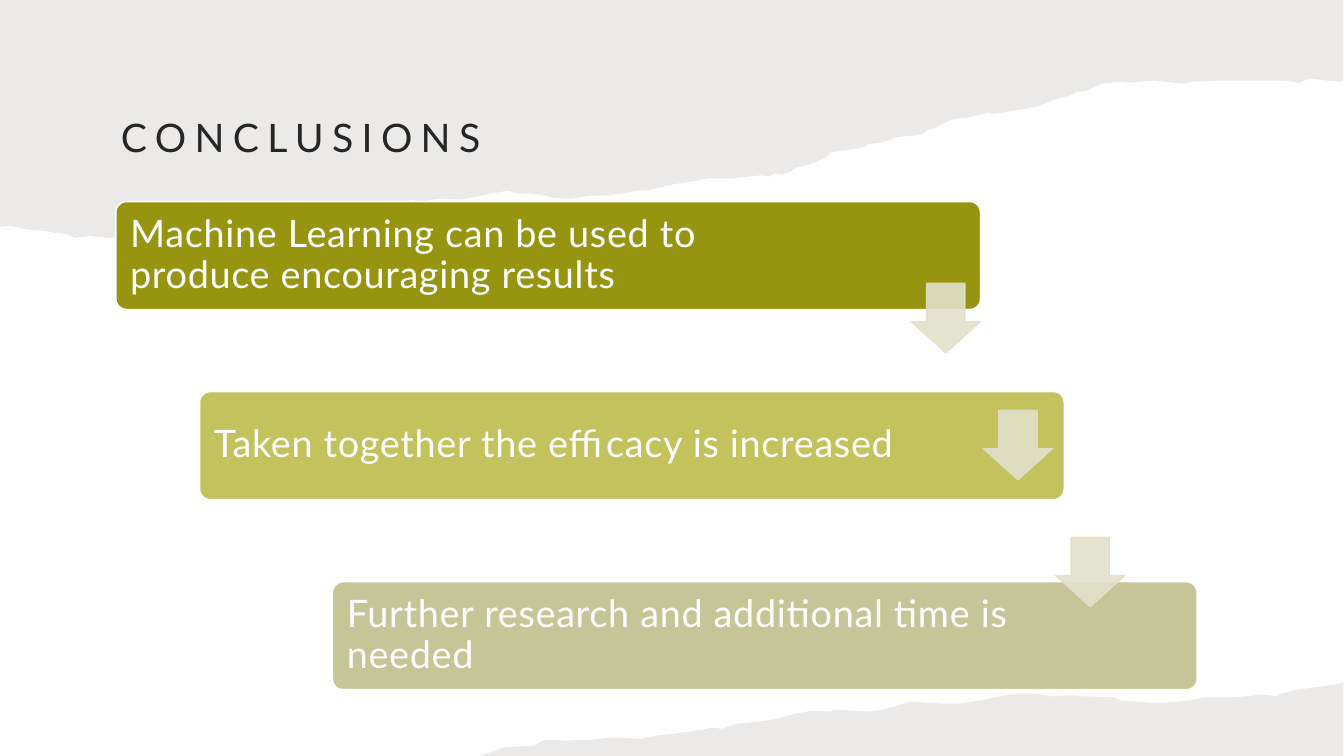
import lxml.etree
import pptx
import pptx.dml.color
import pptx.enum.shapes
import pptx.enum.text
import pptx.oxml.ns
import pptx.util

Cm = pptx.util.Cm
Pt = pptx.util.Pt
SHAPE = pptx.enum.shapes.MSO_SHAPE

THEME = {
    "font": "Lato",
    "title_size": 28,
    "body_size": 27,
    "title": "262626",
    "white": "FFFFFF",
    "paper": "82766A",
    "arrow": "E1E0CA",
    "bars": ["979510", "C4C25D", "C6C597"],
}


def paint(sp, color, line=None, alpha=100):
    """Fill and outline a shape, with an opacity in percent."""
    sp.shadow.inherit = False
    formats = [(sp.fill, color)]
    if line:
        sp.line.width = Pt(1)
        formats.append((sp.line.fill, line))
    else:
        sp.line.fill.background()
    for fill, value in formats:
        fill.solid()
        fill.fore_color.rgb = pptx.dml.color.RGBColor.from_string(value)
    if alpha < 100:
        tag = pptx.oxml.ns.qn("a:srgbClr")
        for clr in sp._element.spPr.iter(tag):
            lxml.etree.SubElement(clr, pptx.oxml.ns.qn("a:alpha")).set("val", str(alpha * 1000))


def add_text(text, left, top, width, height, size, color, spacing, inset,
             line_spacing, before=0):
    tf = slide.shapes.add_textbox(Cm(left), Cm(top), Cm(width), Cm(height)).text_frame
    tf.word_wrap = True
    tf.vertical_anchor = pptx.enum.text.MSO_ANCHOR.MIDDLE
    tf.margin_left = tf.margin_right = tf.margin_top = tf.margin_bottom = Cm(inset)
    p = tf.paragraphs[0]
    p.line_spacing = line_spacing
    p.space_before = Pt(before)
    r = p.add_run()
    r.text = text
    r.font.name = THEME["font"]
    r.font.size = Pt(size)
    r.font.color.rgb = pptx.dml.color.RGBColor.from_string(color)
    r._r.get_or_add_rPr().set("spc", str(int(spacing * 100)))


prs = pptx.Presentation()
prs.slide_width, prs.slide_height = Cm(33.87), Cm(19.05)
slide = prs.slides.add_slide(prs.slide_layouts[6])

# Torn paper outlines, in hundredths of an inch
top_paper = [
    (0, 0), (1333, 0), (1333, 80), (1329, 81), (1318, 80), (1300, 78), (1289, 82),
    (1274, 80), (1264, 80), (1242, 80), (1221, 80), (1209, 80), (1190, 81), (1182, 81),
    (1175, 83), (1144, 80), (1121, 82), (1112, 81), (1093, 83), (1087, 86), (1076, 91),
    (1069, 91), (1061, 95), (1049, 98), (1043, 100), (1031, 105), (1027, 106),
    (1017, 108), (1010, 109), (999, 111), (986, 113), (980, 112), (972, 114), (957, 117),
    (948, 118), (939, 121), (925, 128), (920, 129), (915, 133), (905, 135), (897, 135),
    (890, 136), (883, 139), (871, 142), (861, 143), (857, 146), (852, 147), (825, 151),
    (818, 157), (807, 162), (791, 166), (783, 171), (776, 173), (769, 172), (763, 175),
    (755, 174), (743, 175), (728, 177), (713, 177), (702, 177), (687, 180), (667, 183),
    (643, 189), (633, 189), (617, 192), (602, 194), (587, 194), (567, 197), (559, 197),
    (548, 196), (541, 194), (526, 192), (513, 192), (504, 189), (499, 190), (488, 192),
    (472, 195), (458, 198), (441, 197), (430, 198), (417, 200), (408, 198), (402, 200),
    (390, 201), (372, 203), (359, 204), (342, 208), (329, 208), (314, 212), (306, 210),
    (293, 211), (271, 213), (254, 212), (239, 214), (231, 215), (216, 221), (205, 224),
    (192, 226), (179, 231), (157, 238), (145, 237), (140, 238), (131, 235), (106, 236),
    (89, 234), (75, 236), (65, 232), (53, 231), (45, 229), (30, 228), (19, 226),
    (10, 224), (0, 225),
]
bottom_paper = [
    (1333, 677), (1333, 750), (477, 750), (482, 748), (502, 741), (530, 740), (536, 736),
    (542, 734), (553, 734), (561, 735), (573, 734), (586, 734), (603, 732), (619, 732),
    (636, 733), (657, 729), (669, 728), (696, 724), (706, 722), (716, 723), (731, 718),
    (753, 716), (767, 714), (778, 711), (790, 708), (806, 705), (823, 706), (829, 704),
    (861, 706), (876, 704), (883, 702), (892, 700), (899, 697), (907, 696), (917, 697),
    (925, 697), (932, 698), (950, 698), (959, 697), (972, 695), (1001, 689), (1018, 688),
    (1034, 689), (1042, 691), (1057, 690), (1066, 690), (1075, 691), (1083, 691),
    (1105, 692), (1113, 695), (1140, 697), (1158, 697), (1181, 695), (1194, 692),
    (1220, 692), (1234, 691), (1252, 689), (1267, 691), (1272, 688), (1288, 684),
    (1297, 683), (1311, 681), (1325, 679),
]
for outline in (top_paper, bottom_paper):
    builder = slide.shapes.build_freeform(*outline[0], scale=Cm(2.54) / 100)
    builder.add_line_segments(outline[1:], close=True)
    paint(builder.convert_to_shape(), THEME["paper"], alpha=15)

# Title
add_text("CONCLUSIONS", 2.92, 1.7, 27.25, 3.38, size=THEME["title_size"],
         color=THEME["title"], spacing=6, inset=0.13, line_spacing=1.1)

# Staggered bars with their statements: text, bar left, text width
steps = [
    ("Machine Learning can be used to produce encouraging results", 2.92, 18.64),
    ("Taken together the efficacy is increased", 5.03, 18.08),
    ("Further research and additional time is needed", 8.38, 18.06),
]
bar_width, bar_height = 21.79, 2.72
for i, (text, left, text_width) in enumerate(steps):
    top = 5.08 + i * 4.79
    sp = slide.shapes.add_shape(SHAPE.ROUNDED_RECTANGLE, Cm(left), Cm(top),
                                Cm(bar_width), Cm(bar_height))
    sp.adjustments[0] = 0.1
    paint(sp, THEME["bars"][i], line=THEME["white"])
    add_text(text, left + 0.08, top, text_width, bar_height, size=THEME["body_size"],
             color=THEME["white"], spacing=0.5, inset=0.28, line_spacing=0.9, before=11)

# Down arrows on a diagonal
arrow_size = 1.75
for i in range(3):
    sp = slide.shapes.add_shape(SHAPE.DOWN_ARROW, Cm(22.96 + i * 1.82), Cm(7.14 + i * 3.2),
                                Cm(arrow_size), Cm(arrow_size))
    sp.adjustments[0], sp.adjustments[1] = 0.55, 0.45
    paint(sp, THEME["arrow"], line=THEME["arrow"], alpha=90)

prs.save("out.pptx")
